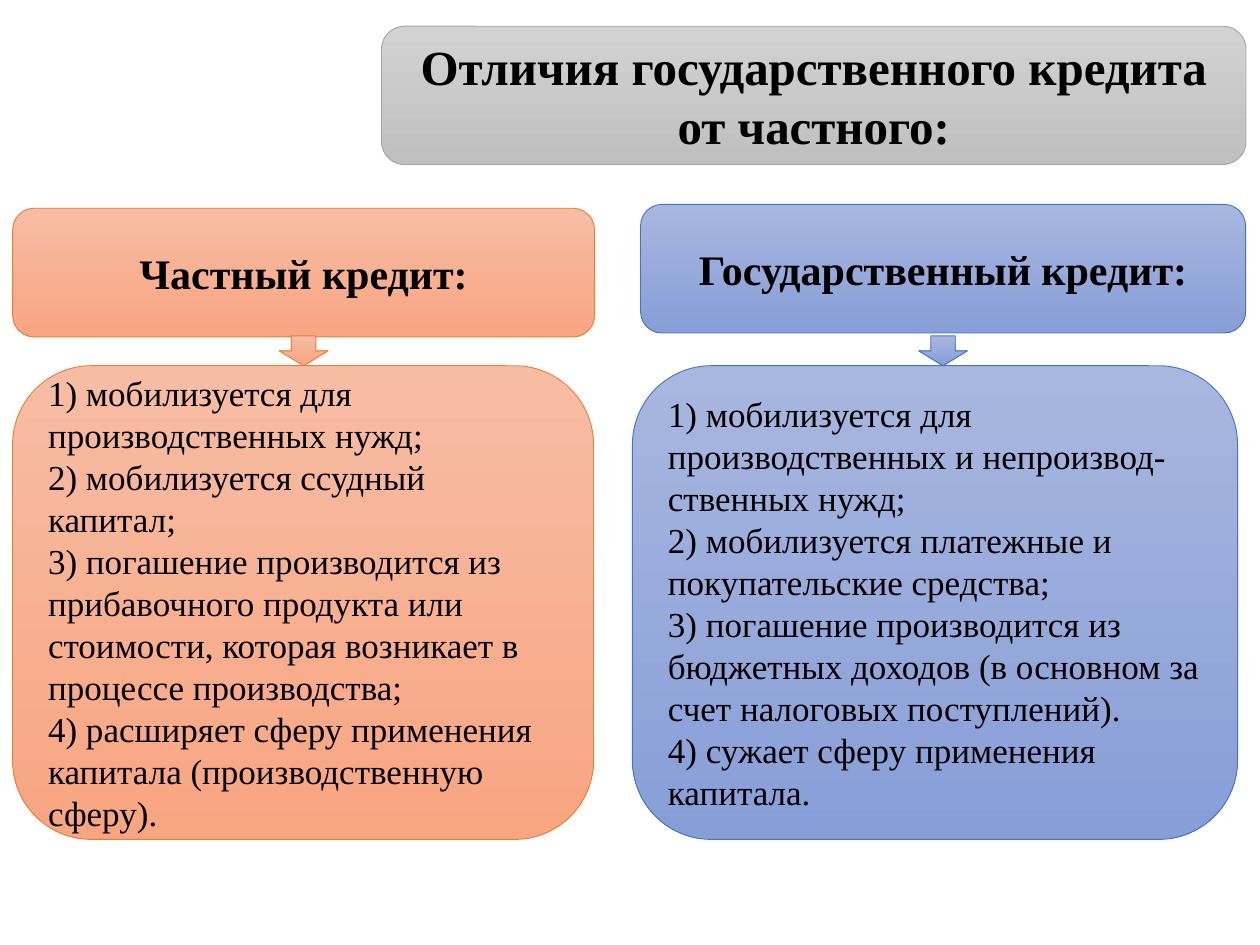
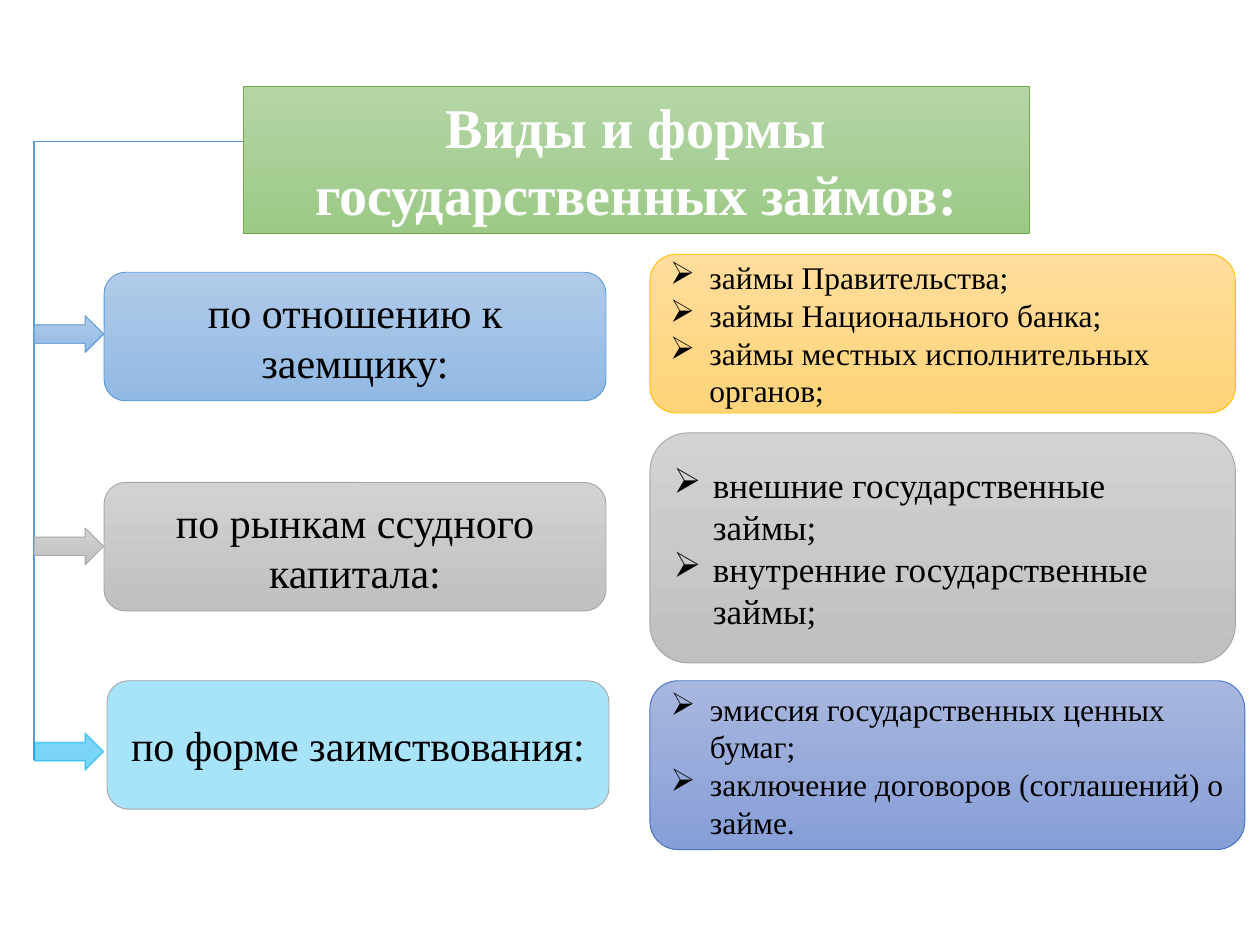
from lxml.etree import SubElement
from pptx import Presentation
from pptx.dml.color import RGBColor
from pptx.enum.shapes import MSO_CONNECTOR, MSO_SHAPE
from pptx.enum.text import MSO_ANCHOR, PP_ALIGN
from pptx.oxml.ns import qn
from pptx.util import Pt

FONT = "Times New Roman"
COLORS = {"black": "000000", "white": "FFFFFF", "cyan": "00B0F0",
          "gray_line": "A5A5A5", "spine": "5B9BD5"}
# Gradient top, gradient bottom, outline
THEMES = {
    "gray": ("D2D2D2", "C0C0C0", COLORS["gray_line"]),
    "orange": ("F7BDA4", "F8A581", "ED7D31"),
    "indigo": ("A8B7DF", "879ED7", "4472C4"),
    "blue": ("B1CBE9", "92B9E4", COLORS["spine"]),
    "green": ("B5D5A7", "9CCA86", "70AD47"),
    "gold": ("FFDD9C", "FFD479", "FFC000"),
}
ARROW_W, ARROW_H = 39.6, 21


def rgb(value):
    return RGBColor.from_string(value)


def set_alpha(parent, percent):
    color = next(parent.iter(qn("a:srgbClr")))
    SubElement(color, qn("a:alpha")).set("val", str(percent * 1000))


def add_shape(s, kind, box, theme):
    """Preset shape with the vertical gradient and outline of a theme."""
    sp = s.shapes.add_shape(kind, *map(Pt, box))
    sp.shadow.inherit = False
    top, bottom, outline = THEMES[theme]
    sp.fill.gradient()
    sp.fill.gradient_angle = 270
    for stop, value in zip(sp.fill.gradient_stops, (top, bottom)):
        stop.color.rgb = rgb(value)
    sp.line.color.rgb = rgb(outline)
    sp.line.width = Pt(0.5)
    return sp


def tint(sp, fill, alpha, line, width=0.5, line_alpha=None):
    """Replace the gradient by a translucent plain colour."""
    sp.fill.solid()
    sp.fill.fore_color.rgb = rgb(fill)
    set_alpha(sp.element.spPr.find(qn("a:solidFill")), alpha)
    sp.line.color.rgb = rgb(line)
    sp.line.width = Pt(width)
    if line_alpha:
        set_alpha(sp.element.spPr.find(qn("a:ln")), line_alpha)


def add_bullet(p):
    pPr = p._p.get_or_add_pPr()
    pPr.set("marL", str(Pt(22.5)))
    pPr.set("indent", str(-Pt(22.5)))
    color = SubElement(pPr, qn("a:buClr"))
    SubElement(color, qn("a:srgbClr")).set("val", COLORS["black"])
    SubElement(pPr, qn("a:buChar")).set("char", "➢")


def write(sp, *lines, size=24, bold=False, color="black",
          align=PP_ALIGN.CENTER, anchor=MSO_ANCHOR.MIDDLE, bullets=False):
    tf = sp.text_frame
    tf.word_wrap = True
    tf.vertical_anchor = anchor
    for i, line in enumerate(lines):
        p = tf.add_paragraph() if i else tf.paragraphs[0]
        p.alignment = align
        if bullets:
            add_bullet(p)
        r = p.add_run()
        r.text = line
        r.font.name = FONT
        r.font.size = Pt(size)
        r.font.bold = bold
        r.font.color.rgb = rgb(COLORS[color])


def add_line(s, x1, y1, x2, y2):
    line = s.shapes.add_connector(MSO_CONNECTOR.STRAIGHT, *map(Pt, (x1, y1, x2, y2)))
    line.line.color.rgb = rgb(COLORS["spine"])
    line.line.width = Pt(1)
    SubElement(line.element.spPr, qn("a:effectLst"))
    return line


def credit_column(s, head_box, body_box, theme, title, points):
    """Heading, down arrow centred under it, and list of features."""
    write(add_shape(s, MSO_SHAPE.ROUNDED_RECTANGLE, head_box, theme), title, bold=True)
    write(add_shape(s, MSO_SHAPE.ROUNDED_RECTANGLE, body_box, theme),
          *points, size=20, align=PP_ALIGN.LEFT)
    x, _, w, _ = head_box
    arrow_w, arrow_h = 28, 17
    add_shape(s, MSO_SHAPE.DOWN_ARROW,
              (x + (w - arrow_w) / 2, body_box[1] - arrow_h, arrow_w, arrow_h), theme)


def comparison_slide(s):
    credit_column(s, (7.2, 119, 332.6, 73.5), (7.2, 209, 332, 270.7), "orange",
                  "Частный кредит:", (
        "1) мобилизуется для производственных нужд;",
        "2) мобилизуется ссудный капитал;",
        "3) погашение производится из прибавочного продукта или стоимости, "
        "которая возникает в процессе производства;",
        "4) расширяет сферу применения капитала (производственную сферу)."))
    credit_column(s, (366, 116.8, 345.8, 73.5), (361.4, 209, 345.8, 270.7), "indigo",
                  "Государственный кредит:", (
        "1) мобилизуется для производственных и непроизвод- ственных нужд;",
        "2) мобилизуется платежные и покупательские средства;",
        "3) погашение производится из бюджетных доходов "
        "(в основном за счет налоговых поступлений).",
        "4) сужает сферу применения капитала."))
    # Title
    write(add_shape(s, MSO_SHAPE.ROUNDED_RECTANGLE, (218, 15, 494, 79), "gray"),
          "Отличия государственного кредита от частного:", size=28, bold=True)


def loan_row(s, label_xy, arrow_xy, label, theme, details_box, details_theme, size, items):
    """Arrow from the spine, criterion and bulleted kinds of loan."""
    box = add_shape(s, MSO_SHAPE.ROUNDED_RECTANGLE, (*label_xy, 286.8, 73.4), theme)
    write(box, label)
    arrow = add_shape(s, MSO_SHAPE.RIGHT_ARROW, (*arrow_xy, ARROW_W, ARROW_H), theme)
    details = add_shape(s, MSO_SHAPE.ROUNDED_RECTANGLE, details_box, details_theme)
    write(details, *items, size=size, align=PP_ALIGN.LEFT, bullets=True)
    return box, arrow


def loans_slide(s):
    # Title
    write(add_shape(s, MSO_SHAPE.RECTANGLE, (139, 49.4, 449.2, 84.2), "green"),
          "Виды и формы государственных займов:",
          size=32, bold=True, color="white", anchor=MSO_ANCHOR.TOP)
    # Spine from the title down to the last arrow
    spine_x, spine_y = 19.6, 80.8
    add_line(s, 139, spine_y, spine_x, spine_y)
    add_line(s, spine_x, spine_y, spine_x, 434.4)
    # Rows
    loan_row(s, (59.5, 155.6), (spine_x, 180.4), "по отношению к заемщику:", "blue",
             (371.4, 145.3, 334.6, 90.7), "gold", 18,
             ("займы Правительства;", "займы Национального банка;",
              "займы местных исполнительных органов;"))
    loan_row(s, (59.5, 275.7), (spine_x, 301.7), "по рынкам ссудного капитала:", "gray",
             (371.4, 247.4, 334.6, 131.4), "gray", 20,
             ("внешние государственные займы;", "внутренние государственные займы;"))
    box, arrow = loan_row(
        s, (61.2, 389), (spine_x, 419), "по форме заимствования:", "gray",
        (371.4, 389, 340, 96.5), "indigo", 18,
        ("эмиссия государственных ценных бумаг;",
         "заключение договоров (соглашений) о займе."))
    tint(box, COLORS["cyan"], 34, COLORS["gray_line"])
    tint(arrow, COLORS["cyan"], 52, COLORS["cyan"], width=1, line_alpha=47)


def main():
    prs = Presentation()
    prs.slide_width, prs.slide_height = Pt(720), Pt(540)
    for build in (comparison_slide, loans_slide):
        build(prs.slides.add_slide(prs.slide_layouts[6]))
    prs.save("out.pptx")


if __name__ == "__main__":
    main()
